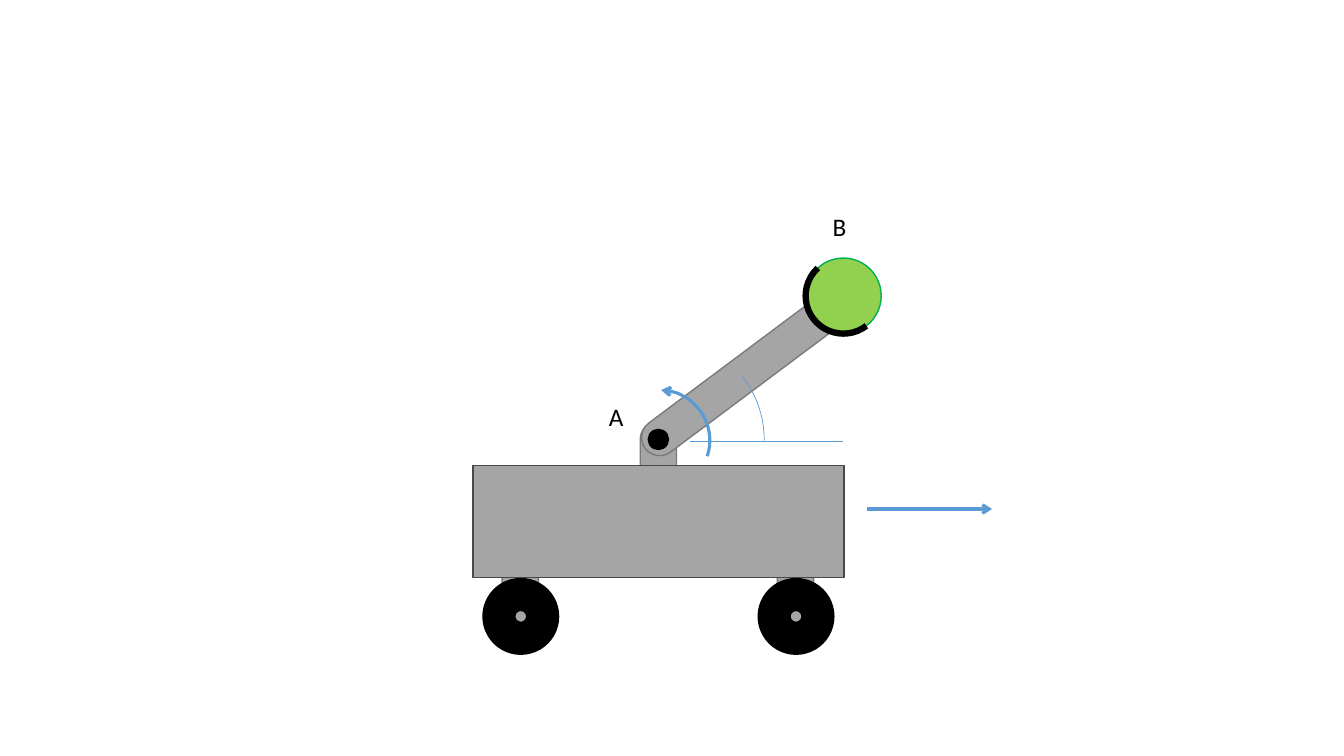
"""Draw a wheeled cart whose tilted arm AB carries a ball."""
from dataclasses import dataclass

from lxml.etree import SubElement
from pptx import Presentation
from pptx.dml.color import RGBColor
from pptx.enum.shapes import MSO_CONNECTOR as LINE, MSO_SHAPE as SHAPE
from pptx.enum.text import MSO_AUTO_SIZE as FIT
from pptx.oxml.ns import qn
from pptx.util import Inches, Pt


@dataclass(frozen=True)
class Theme:
    font: str = "Calibri"
    label: float = 18
    thin: float = 0.5
    edge: float = 1
    motion: float = 2.25
    cup: float = 4.5
    black: str = "000000"
    body: str = "A5A5A5"
    arm_edge: str = "7A7A7A"
    body_edge: str = "484848"
    ball: str = "92D050"
    ball_edge: str = "00B050"
    blue: str = "5B9BD5"


class Diagram:
    cell = Inches(0.1)

    def __init__(self, slide, theme):
        self.s, self.t = slide, theme

    def grid(self, *cells):
        return [round(c * self.cell) for c in cells]

    def stroke(self, line, color, width, arrow=None):
        line.color.rgb = RGBColor.from_string(color)
        line.width = Pt(width)
        if arrow:
            ln = line.fill._xPr
            SubElement(ln, qn(f"a:{arrow}"), type="arrow")

    def shape(self, kind, box, fill, edge, width=None, adj=(), rot=0, arrow=None):
        sp = self.s.shapes.add_shape(kind, *self.grid(*box))
        sp.shadow.inherit = False
        sp.rotation = rot
        for i, value in enumerate(adj):
            sp.adjustments[i] = value
        if fill:
            sp.fill.solid()
            sp.fill.fore_color.rgb = RGBColor.from_string(fill)
        else:
            sp.fill.background()
        self.stroke(sp.line, edge, width or self.t.edge, arrow)

    def bar(self, col, row, length, rot=0):
        self.shape(SHAPE.ROUNDED_RECTANGLE, (col, row, 3.6, length),
                   self.t.body, self.t.arm_edge, adj=[0.5], rot=rot)

    def disc(self, col, row, size, fill, edge):
        self.shape(SHAPE.OVAL, (col, row, size, size), fill, edge)

    def wheel(self, col, row, size):
        self.shape(SHAPE.DONUT, (col, row, size, size),
                   self.t.black, self.t.black, adj=[0.42])

    def arc(self, col, row, size, degrees, color, width, arrow=None):
        self.shape(SHAPE.ARC, (col, row, size, size), None, color, width,
                   adj=[d * 0.6 for d in degrees], arrow=arrow)

    def line(self, col, row, length, width, arrow=None):
        c = self.s.shapes.add_connector(
            LINE.STRAIGHT, *self.grid(col, row, col + length, row))
        self.stroke(c.line, self.t.blue, width, arrow)
        SubElement(c._element.spPr, qn("a:effectLst"))

    def label(self, text, col, row, width):
        tf = self.s.shapes.add_textbox(*self.grid(col, row, width, 4)).text_frame
        tf.word_wrap = False
        tf.auto_size = FIT.SHAPE_TO_FIT_TEXT
        r = tf.paragraphs[0].add_run()
        r.text = text
        r.font.name = self.t.font
        r.font.size = Pt(self.t.label)
        r.font.color.rgb = RGBColor.from_string(self.t.black)


def main():
    prs = Presentation()
    prs.slide_width, prs.slide_height = Inches(13.33), Inches(7.5)
    t = Theme()
    d = Diagram(prs.slides.add_slide(prs.slide_layouts[6]), t)

    for col, row in ((49.8, 49.3), (77.1, 49.3), (63.5, 41.8)):
        d.bar(col, row, 12.6)
    d.shape(SHAPE.RECTANGLE, (46.9, 46.2, 36.8, 11.1), t.body, t.body_edge)
    for col in (47.9, 75.2):
        d.wheel(col, 57.4, 7.5)
    d.bar(72.2, 24.5, 25, rot=53.2)
    d.disc(64.3, 42.6, 2, t.black, t.black)
    d.line(86, 50.5, 12.4, t.motion, "tailEnd")
    d.disc(79.9, 25.6, 7.5, t.ball, t.ball_edge)
    d.arc(79.9, 25.6, 7.5, (52.6, 227.4), t.black, t.cup)
    d.arc(60.4, 38.7, 10, (272, 18.2), t.blue, t.motion, "headEnd")
    d.line(68.4, 43.8, 15.2, t.thin)
    d.arc(55.8, 33.6, 20, (321.1, 0.6), t.blue, t.thin)
    d.label("A", 59.4, 39.3, 3.5)
    d.label("B", 81.6, 20.5, 3.4)
    prs.save("out.pptx")


if __name__ == "__main__":
    main()
